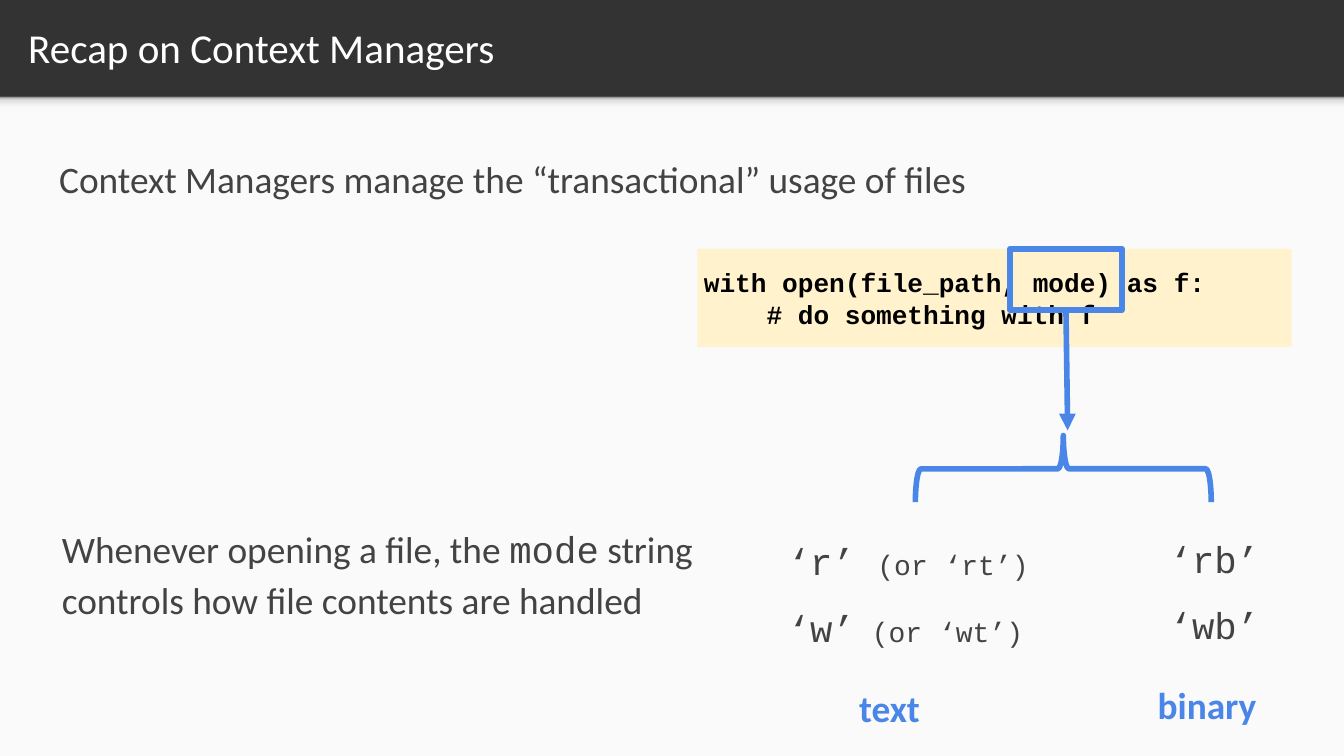
from copy import deepcopy

from lxml import etree
from pptx import Presentation
from pptx.dml.color import RGBColor
from pptx.enum.shapes import MSO_CONNECTOR, MSO_SHAPE
from pptx.enum.text import MSO_ANCHOR, MSO_AUTO_SIZE, PP_ALIGN
from pptx.oxml.ns import qn
from pptx.util import Inches, Pt

RECTANGLE, LEFT_BRACE = MSO_SHAPE.RECTANGLE, MSO_SHAPE.LEFT_BRACE
STRAIGHT = MSO_CONNECTOR.STRAIGHT
TOP, MIDDLE = MSO_ANCHOR.TOP, MSO_ANCHOR.MIDDLE
LEFT = PP_ALIGN.LEFT
NO_AUTOFIT = MSO_AUTO_SIZE.NONE

CHARCOAL = RGBColor(0x33, 0x33, 0x33)
PAPER = RGBColor(0xFA, 0xFA, 0xFA)
WHITE = RGBColor(0xFF, 0xFF, 0xFF)
BLACK = RGBColor(0, 0, 0)
GREY_TEXT = RGBColor(0x43, 0x43, 0x43)
CREAM = RGBColor(0xFF, 0xF2, 0xCC)
BLUE = RGBColor(0x4A, 0x86, 0xE8)
SHADE_STOPS = [
    (0, RGBColor(0xF9, 0xF9, 0xF9)),
    (0.36, RGBColor(0xF9, 0xF9, 0xF9)),
    (0.8, RGBColor(0xDE, 0xDE, 0xDE)),
    (1, RGBColor(0x99, 0x99, 0x99)),
]

SANS, MONO = "Calibri", "Courier New"
WIDTH, HEIGHT = Inches(19.99), Inches(11.24)
# Grid of 100 columns and 100 rows
COLUMN, ROW = WIDTH / 100, HEIGHT / 100
BAND_ROWS = 12.8
DIAGRAM_TOP = 32.92
LINE_WIDTH = Pt(6)


def grid(left, top, width, height):
    return (round(left * COLUMN), round(top * ROW),
            round(width * COLUMN), round(height * ROW))


def write(shape, lines, size=40, font=SANS, color=GREY_TEXT, bold=False,
          inset=0.1, anchor=MIDDLE, spacing=1.15, before=16):
    """Each line is a list of (text, overrides) runs."""
    frame = shape.text_frame
    frame.word_wrap = True
    frame.auto_size = NO_AUTOFIT
    frame.vertical_anchor = anchor
    frame.margin_left = frame.margin_right = Inches(inset)
    frame.margin_top = frame.margin_bottom = Inches(inset)
    for index, line in enumerate(lines):
        paragraph = frame.add_paragraph() if index else frame.paragraphs[0]
        paragraph.alignment = LEFT
        paragraph.line_spacing = spacing
        paragraph.space_before = Pt(before if index else 0)
        for text, overrides in line:
            run = paragraph.add_run()
            run.text = text
            run.font.name = overrides.get("font", font)
            run.font.size = Pt(overrides.get("size", size))
            run.font.bold = bold
            run.font.color.rgb = color


def add_text(slide, cells, lines, **style):
    write(slide.shapes.add_textbox(*grid(*cells)), lines, **style)


def add_block(slide, cells, fill=None, outline=None, kind=RECTANGLE):
    shape = slide.shapes.add_shape(kind, *grid(*cells))
    shape.shadow.inherit = False
    if fill is None:
        shape.fill.background()
    else:
        shape.fill.solid()
        shape.fill.fore_color.rgb = fill
    if outline is None:
        shape.line.fill.background()
    else:
        shape.line.color.rgb = outline
        shape.line.width = LINE_WIDTH
    return shape


def add_band_shade(slide):
    shade = add_block(slide, (0, BAND_ROWS, 100, 2.14))
    shade.fill.gradient()
    stop_list = shade._element.spPr.find(qn("a:gradFill")).find(qn("a:gsLst"))
    while len(stop_list) < len(SHADE_STOPS):
        stop_list.append(deepcopy(stop_list[0]))
    for stop, (position, color) in zip(shade.fill.gradient_stops, SHADE_STOPS):
        stop.position = position
        stop.color.rgb = color
    shade.fill.gradient_angle = 90


def add_arrow(slide, source, column, row):
    """Arrow from the bottom of source to a grid point."""
    end_x, end_y, _, _ = grid(column, row, 0, 0)
    arrow = slide.shapes.add_connector(STRAIGHT, 0, 0, end_x, end_y)
    arrow.begin_connect(source, 2)
    arrow.line.color.rgb = BLUE
    arrow.line.width = LINE_WIDTH
    line = arrow.line._get_or_add_ln()
    etree.SubElement(line, qn("a:tailEnd"), type="triangle")
    etree.SubElement(arrow._element.spPr, qn("a:effectLst"))


def add_title(slide, text):
    title = slide.shapes.title
    title.left, title.top, title.width, title.height = grid(
        1.1, 0.36, 96.5, 11.74)
    write(title, [[(text, {})]], size=44, color=WHITE, inset=0.2, spacing=1)


def main():
    presentation = Presentation()
    presentation.slide_width, presentation.slide_height = WIDTH, HEIGHT
    slide = presentation.slides.add_slide(presentation.slide_layouts[5])

    # Dark title band above a light panel
    slide.background.fill.solid()
    slide.background.fill.fore_color.rgb = CHARCOAL
    add_block(slide, (0, BAND_ROWS, 100, 100 - BAND_ROWS), PAPER)
    add_band_shade(slide)
    add_title(slide, "Recap on Context Managers")

    # Explanations
    body = {"inset": 0.2, "anchor": TOP}
    add_text(slide, (3.4, 17.97, 70.84, 14.95), [
        [("Context Managers manage the “transactional” usage of files", {})],
    ], **body)
    add_text(slide, (3.6, 66.9, 49.32, 23.67), [
        [("Whenever opening a file, the ", {}), ("mode", {"font": MONO}),
         (" string controls how file contents are handled", {})],
    ], **body)

    # Code sample
    code = add_block(slide, (51.88, DIAGRAM_TOP, 44.22, 12.99), CREAM)
    write(code, [
        [("with open(file_path, mode) as f:", {})],
        [("    # do something with f", {})],
    ], size=28, font=MONO, color=BLACK, bold=True, spacing=1, before=0)

    # The mode argument leads to its options
    mode_frame = add_block(slide, (75.14, DIAGRAM_TOP, 8.35, 8.1), outline=BLUE)
    add_arrow(slide, mode_frame, 79.44, 56.94)
    brace = add_block(slide, (76.64, 42.44, 4.95, 39.15), outline=BLUE,
                      kind=LEFT_BRACE)
    brace.rotation = 90

    # Mode strings and their kinds
    small = {"size": 30}
    add_text(slide, (58.13, 68.68, 23.26, 18.95), [
        [("‘r’ ", {}), ("(or ‘rt’)", small)],
        [("‘w’", {}), (" (or ‘wt’)", small)],
    ], font=MONO)
    add_text(slide, (86.54, 68.33, 9.05, 18.95),
             [[("‘rb’", {})], [("‘wb’", {})]], font=MONO)
    for label, left, top, width in (("text", 63.43, 88.7, 7.3),
                                    ("binary", 85.64, 88.35, 9.05)):
        add_text(slide, (left, top, width, 8.81), [[(label, {})]],
                 color=BLUE, bold=True)

    presentation.save("out.pptx")


if __name__ == "__main__":
    main()
